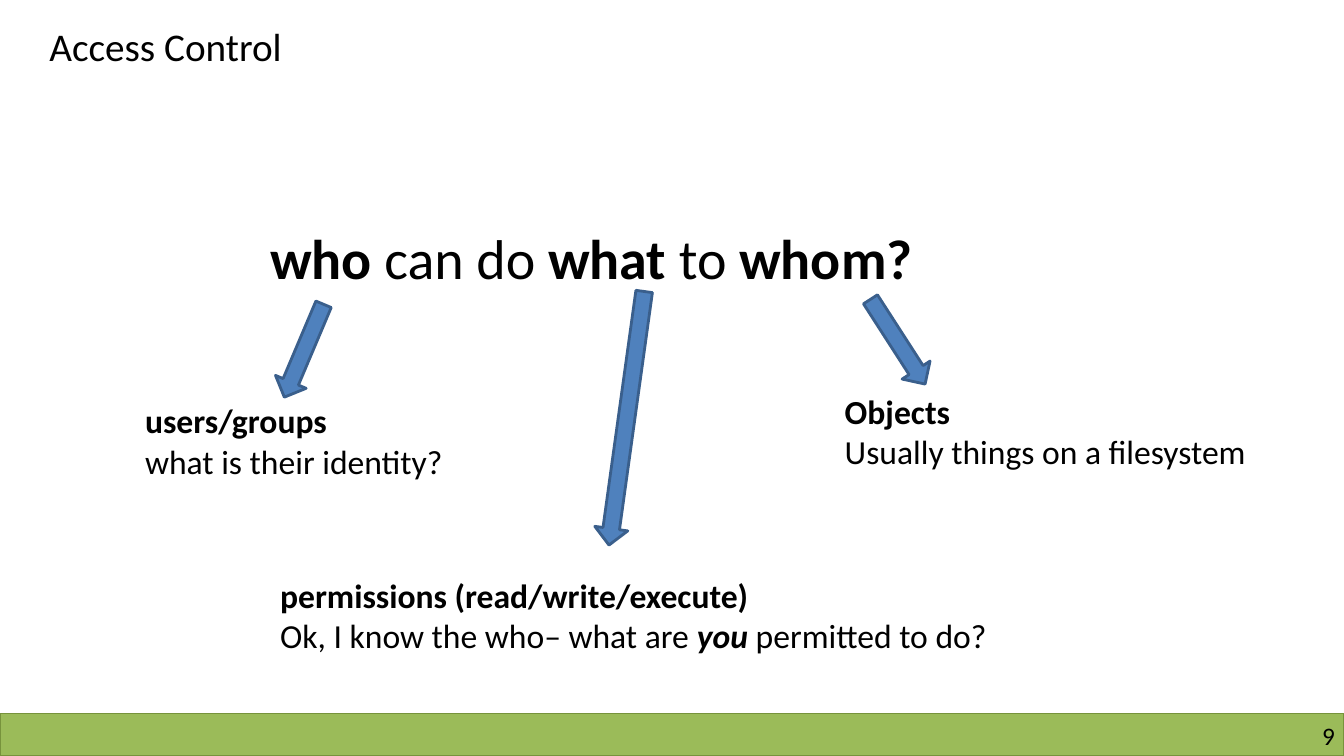
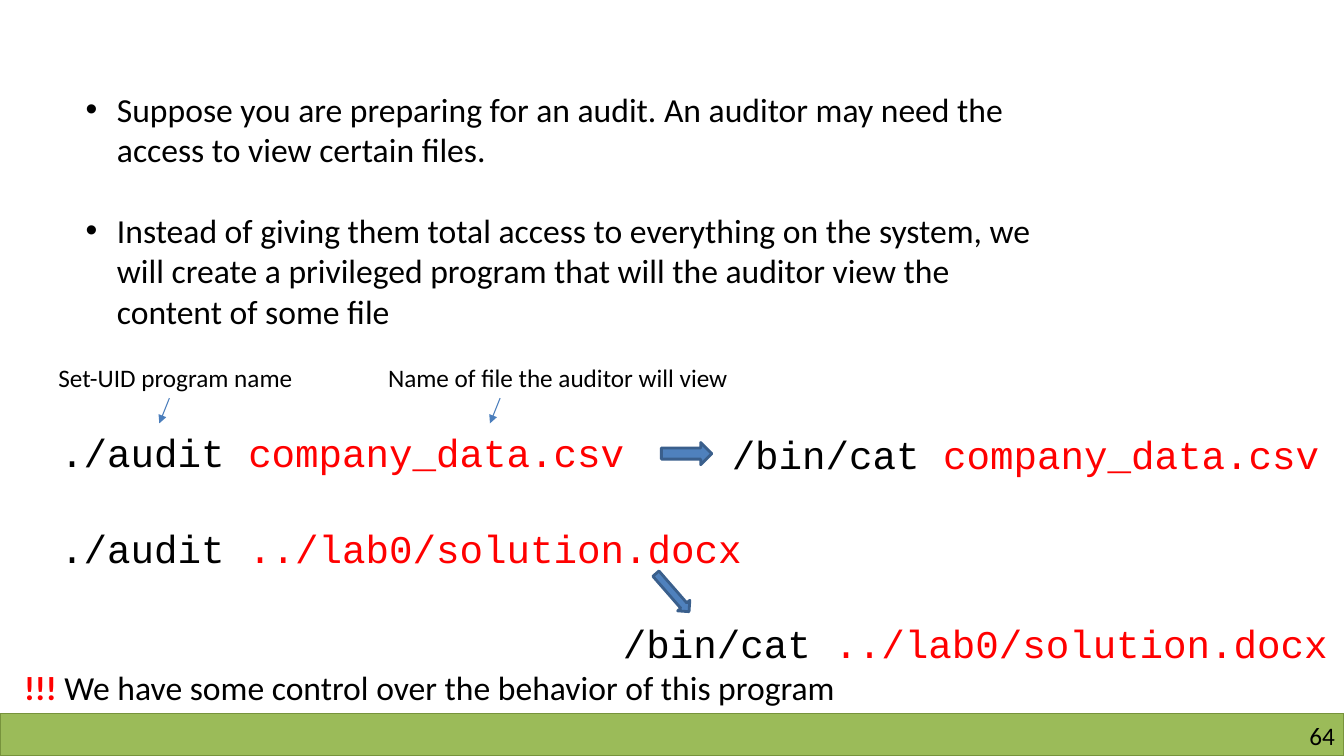
import pptx
import pptx.dml.color
import pptx.enum.shapes
import pptx.enum.text
import pptx.oxml.ns
import pptx.util
import lxml.etree

Inches = pptx.util.Inches
Pt = pptx.util.Pt
RGBColor = pptx.dml.color.RGBColor
Shapes = pptx.enum.shapes.MSO_SHAPE
Align = pptx.enum.text.PP_ALIGN
Anchor = pptx.enum.text.MSO_ANCHOR
Fit = pptx.enum.text.MSO_AUTO_SIZE

BLACK = RGBColor(0x00, 0x00, 0x00)
RED = RGBColor(0xFF, 0x00, 0x00)
GREEN = RGBColor(0x9B, 0xBB, 0x59)
OLIVE = RGBColor(0x77, 0x93, 0x3C)
BLUE = RGBColor(0x4F, 0x81, 0xBD)
NAVY = RGBColor(0x3A, 0x5F, 0x8C)
STEEL = RGBColor(0x4B, 0x7E, 0xBC)

SANS = "Calibri"
MONO = "Courier New"
WIDE = 13.33
BAND = 7.08


def style(run, size, face, look=""):
    font = run.font
    font.name = face
    font.size = Pt(size)
    font.bold = "b" in look
    font.italic = "i" in look
    font.color.rgb = RED if "r" in look else BLACK


def place(shape, left, top, width, height):
    shape.left, shape.top = Inches(left), Inches(top)
    shape.width, shape.height = Inches(width), Inches(height)


def write(frame, lines, size, face=SANS, gap=0):
    frame.word_wrap = True
    frame.auto_size = Fit.NONE
    frame.vertical_anchor = Anchor.TOP
    for row, parts in enumerate(lines):
        para = frame.paragraphs[0] if row == 0 else frame.add_paragraph()
        para.space_before = Pt(gap if row else 0)
        for words, look in parts:
            run = para.add_run()
            run.text = words
            style(run, size, face, look)


def label(slide, box, lines, size, face=SANS, gap=0):
    shape = slide.shapes.add_textbox(*map(Inches, box))
    write(shape.text_frame, lines, size, face, gap)
    return shape


def paint(shape, fill, edge, width):
    shape.shadow.inherit = False
    shape.fill.solid()
    shape.fill.fore_color.rgb = fill
    shape.line.color.rgb = edge
    shape.line.width = Pt(width)


def block(slide, kind, box, turn=0):
    shape = slide.shapes.add_shape(kind, *map(Inches, box))
    shape.rotation = turn
    paint(shape, BLUE, NAVY, 2)


def pointer(slide, start, end):
    ends = [Inches(n) for n in start + end]
    line = slide.shapes.add_connector(
        pptx.enum.shapes.MSO_CONNECTOR.STRAIGHT, *ends)
    line.line.color.rgb = STEEL
    line.line.width = Pt(0.75)
    qn = pptx.oxml.ns.qn
    props = line.line._get_or_add_ln()
    lxml.etree.SubElement(props, qn("a:tailEnd")).set("type", "triangle")
    lxml.etree.SubElement(props.getparent(), qn("a:effectLst"))


def title(slide, words):
    head = slide.shapes.title
    place(head, 0.39, 0.17, 3.77, 0.57)
    write(head.text_frame, [[(words, "")]], 28)
    head.text_frame.paragraphs[0].alignment = Align.LEFT


def bullets(slide, box, items):
    body = slide.placeholders[1]
    place(body, *box)
    write(body.text_frame, [[(item, "")] for item in items], 24, gap=29)
    dent = Inches(0.31)
    for para in body.text_frame.paragraphs:
        props = para._p.get_or_add_pPr()
        props.set("marL", str(dent))
        props.set("indent", str(-dent))


def footer(slide, number):
    band = slide.shapes.add_shape(
        Shapes.RECTANGLE, *map(Inches, (0, BAND, WIDE, 7.5 - BAND)))
    paint(band, GREEN, OLIVE, 1)
    page = label(slide, (10.17, 7.15, 3.07, 0.3), [[(number, "")]], 18)
    frame = page.text_frame
    frame.margin_left = frame.margin_right = 0
    frame.margin_top = frame.margin_bottom = 0
    frame.paragraphs[0].alignment = Align.RIGHT


def access(deck):
    slide = deck.slides.add_slide(deck.slide_layouts[5])
    footer(slide, "9")
    title(slide, "Access Control")
    label(slide, (2.58, 2.17, 7.34, 0.77), [[
        ("who", "b"), (" can do ", ""), ("what", "b"),
        (" to ", ""), ("whom?", "b")]], 40)
    answers = [
        ((1.34, 3.92, 3.35, 0.91), "users/groups",
         [("what is their identity?", "")]),
        ((2.68, 5.65, 7.85, 0.91), "permissions (read/write/execute)",
         [("Ok, I know the who– what are ", ""), ("you", "bi"),
          (" permitted to do?", "")]),
        ((8.28, 3.83, 4.64, 0.91), "Objects",
         [("Usually things on a filesystem", "")]),
    ]
    for box, head, detail in answers:
        label(slide, box, [[(head, "b")], detail], 24)
    for left, top, height, turn in [
            (2.85, 2.98, 1, 22.9), (6.05, 2.88, 2.54, 7.9),
            (8.74, 2.89, 1, 327.2)]:
        block(slide, Shapes.DOWN_ARROW, (left, top, 0.33, height), turn)


def audit(deck):
    slide = deck.slides.add_slide(deck.slide_layouts[1])
    head = slide.shapes.title.element
    head.getparent().remove(head)
    footer(slide, "64")
    bullets(slide, (0.75, 0.83, 9.88, 2.52), [
        "Suppose you are preparing for an audit. An auditor may need the "
        "access to view certain files.",
        "Instead of giving them total access to everything on the system, "
        "we will create a privileged program that will the auditor view "
        "the content of some file"])

    files = ["company_data.csv", "../lab0/solution.docx"]
    label(slide, (0.5, 4.2, 8, 1.51),
          [[("./audit ", ""), (name, "r")] for name in files],
          28, MONO, gap=35)
    spots = [(7.16, 4.22, 6.17, 0.57), (6.08, 6.09, 7.25, 0.57)]
    for name, box in zip(files, spots):
        label(slide, box, [[("/bin/cat ", ""), (name, "r")]], 28, MONO)

    for words, left, width, tip in [
            ("Set-UID program name", 0.48, 2.81, 1.58),
            ("Name of file the auditor will view", 3.75, 3.81, 4.86)]:
        label(slide, (left, 3.55, width, 0.4), [[(words, "")]], 18)
        pointer(slide, (tip + 0.1, 3.95), (tip, 4.2))

    block(slide, Shapes.RIGHT_ARROW, (6.56, 4.39, 0.5, 0.22))
    block(slide, Shapes.RIGHT_ARROW, (6.42, 5.8, 0.5, 0.16), 48.9)
    label(slide, (0.14, 6.57, 9.02, 0.5), [[
        ("!!!", "br"),
        (" We have some control over the behavior of this program", "")]], 24)


def main():
    deck = pptx.Presentation()
    deck.slide_width = Inches(WIDE)
    deck.slide_height = Inches(7.5)
    access(deck)
    audit(deck)
    deck.save("out.pptx")


if __name__ == "__main__":
    main()
